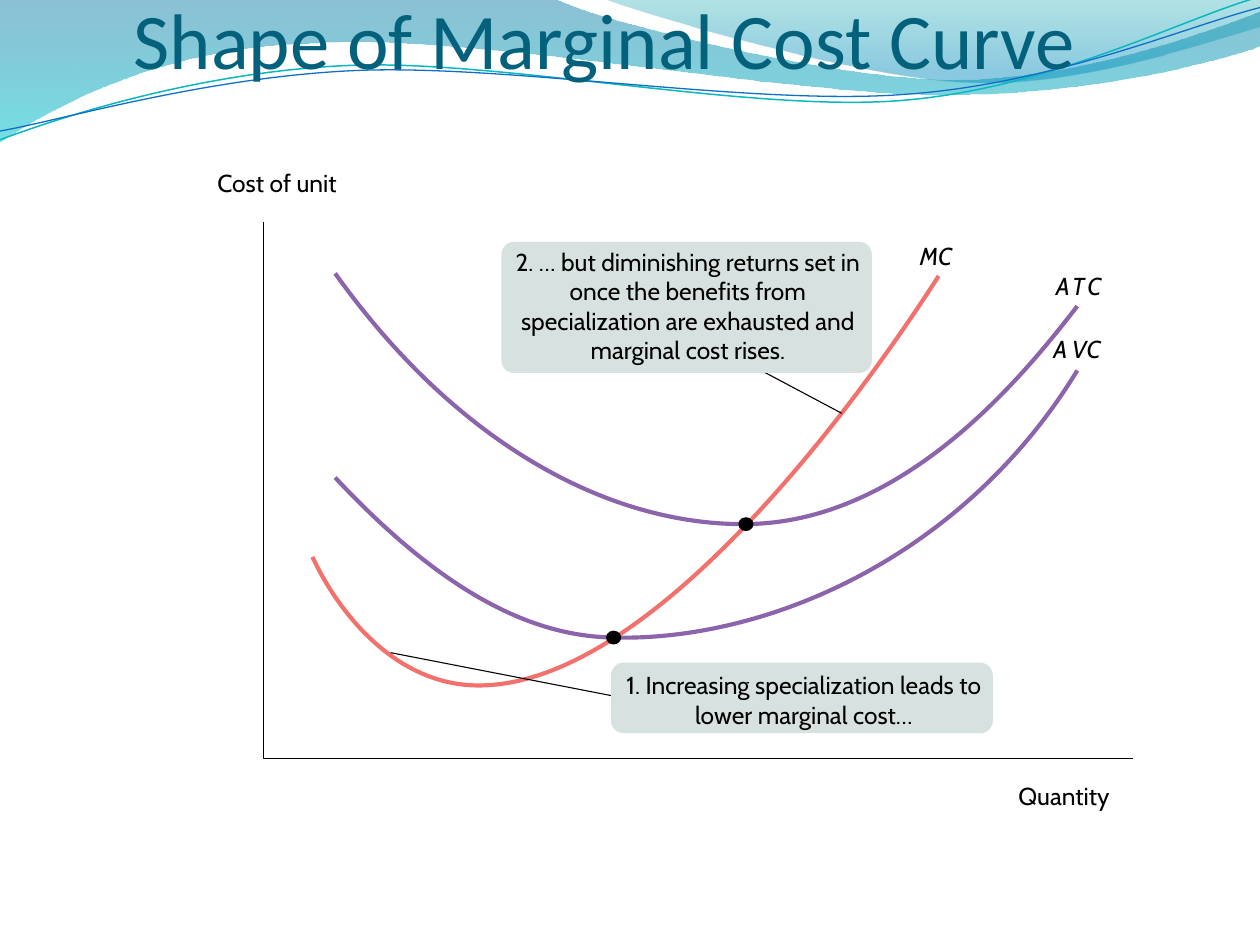
import dataclasses

import lxml.etree
import pptx
import pptx.dml.color
import pptx.enum.dml
import pptx.enum.shapes
import pptx.enum.text
import pptx.oxml.ns
import pptx.util

COLUMNS, ROWS = 100, 75
WIDTH, HEIGHT = pptx.util.Inches(10), pptx.util.Inches(7.5)
ALIGN = pptx.enum.text.PP_ALIGN
SHAPES = pptx.enum.shapes.MSO_SHAPE


@dataclasses.dataclass(frozen=True)
class Theme:
    title: str = "04617B"
    ink: str = "000000"
    marginal: str = "F3716D"
    average: str = "8C64AB"
    callout: str = "D7E2E0"
    wave_teal: str = "0AB8BF"
    wave_blue: str = "0F6FC6"
    left_band: tuple = ((0, "0074A1", 45), (1, "00C6CF", 55))
    right_band: tuple = ((0, "00A1A9", 30), (0.8, "008BBF", 45))
    title_font: str = "Calibri"
    label_font: str = "Cabin"
    title_size: float = 45
    label_size: float = 14
    curve_width: float = 2.38
    thin_width: float = 0.63


THEME = Theme()


def x(column):
    return round(WIDTH * column / COLUMNS)


def y(row):
    return round(HEIGHT * row / ROWS)


def box(left, top, width, height):
    return x(left), y(top), x(width), y(height)


def color(value):
    return pptx.dml.color.RGBColor.from_string(value)


def apply(target, values):
    for name, value in values.items():
        setattr(target, name, value)


def set_line(line, value, width):
    line.color.rgb = color(value)
    line.width = pptx.util.Pt(width)


def set_fill(shape, value):
    shape.shadow.inherit = False
    shape.fill.solid()
    shape.fill.fore_color.rgb = color(value)
    shape.line.fill.background()


def set_gradient(shape, stops):
    shape.fill.gradient()
    shape.fill.gradient_angle = 270
    for stop, (position, value, opacity) in zip(shape.fill.gradient_stops, stops):
        stop.position = position
        stop.color.rgb = color(value)
    for element, (position, value, opacity) in zip(shape._element.xpath(".//a:gs"), stops):
        alpha = lxml.etree.SubElement(element[0], pptx.oxml.ns.qn("a:alpha"))
        alpha.set("val", str(opacity * 1000))


def add_outline(slide, start, segments, closed=False):
    """Segments hold one point for a line and three for a Bezier curve."""
    points = [(x(column), y(row)) for segment in segments for column, row in segment]
    builder = slide.shapes.build_freeform(x(start[0]), y(start[1]))
    builder.add_line_segments(points, close=closed)
    shape = builder.convert_to_shape()
    shape.shadow.inherit = False
    shape.line.fill.background()
    shape.fill.background()
    steps = iter(shape._element.xpath(".//a:path/a:lnTo"))
    for segment in segments:
        first, *others = [next(steps) for point in segment]
        if others:
            first.tag = pptx.oxml.ns.qn("a:cubicBezTo")
            for step in others:
                first.append(step[0])
                step.getparent().remove(step)
    return shape


def add_stroke(slide, start, segments, value, width):
    set_line(add_outline(slide, start, segments).line, value, width)


def add_band(slide, start, segments, stops):
    set_gradient(add_outline(slide, start, segments, closed=True), stops)


def add_text(slide, text, place, frame_format=None, paragraph_format=None, font_format=None):
    frame = slide.shapes.add_textbox(*box(*place)).text_frame
    apply(frame, {
        "margin_left": 0, "margin_top": 0, "margin_right": 0, "margin_bottom": 0,
        "word_wrap": True,
        "auto_size": pptx.enum.text.MSO_AUTO_SIZE.SHAPE_TO_FIT_TEXT,
        **(frame_format or {}),
    })
    paragraph = frame.paragraphs[0]
    apply(paragraph, paragraph_format or {})
    run = paragraph.add_run()
    run.text = text
    values = {"name": THEME.label_font, "size": pptx.util.Pt(THEME.label_size)}
    apply(run.font, {**values, **(font_format or {})})
    run.font.color.rgb = color(THEME.ink)
    return run


def add_leader(slide, start, end):
    connector = slide.shapes.add_connector(
        pptx.enum.shapes.MSO_CONNECTOR.STRAIGHT, x(start[0]), y(start[1]), x(end[0]), y(end[1]))
    set_line(connector.line, THEME.ink, THEME.thin_width)
    lxml.etree.SubElement(connector._element.spPr, pptx.oxml.ns.qn("a:effectLst"))


def add_callout(slide, place):
    shape = slide.shapes.add_shape(SHAPES.ROUNDED_RECTANGLE, *box(*place))
    shape.adjustments[0] = 1 / place[3]
    set_fill(shape, THEME.callout)


def add_background(slide):
    add_band(slide, (0, 0), [
        [(44, -0.1)],
        [(47.6, 1.7), (66.4, 6.3), (75.8, 6.3)], [(85.3, 6.3), (95.8, 2.6), (100, 0.9)],
        [(100.1, 3.6)],
        [(98.3, 4.4), (87, 7.6), (74.6, 7.5)], [(62.2, 7.5), (38.2, 2.8), (25.7, 3.4)],
        [(12.9, 3.6), (4.6, 8.3), (-0.1, 11.3)],
    ], THEME.left_band)
    add_band(slide, (47.9, -0.1), [
        [(50.9, 1.1), (68.2, 6.2), (76.9, 6.5)], [(85.6, 6.9), (96.1, 3.2), (100, 2.1)],
        [(100, 0)],
    ], THEME.right_band)
    add_stroke(slide, (0, 11.1), [
        [(4.8, 9.3), (15.8, 5.7), (27.7, 5.2)], [(39.5, 4.7), (59.3, 8.9), (71.3, 8)],
        [(83.3, 7.1), (93.8, 1.5), (99.8, -0.2)],
    ], THEME.wave_teal, 0.85)
    add_stroke(slide, (0, 10.4), [
        [(4.7, 9.6), (16.4, 6.1), (28.3, 5.6)], [(40.3, 5.1), (59.7, 8.4), (71.7, 7.5)],
        [(83.6, 6.7), (94.1, 2.1), (100, 0.6)],
    ], THEME.wave_blue, 0.75)


def add_curves(slide):
    add_stroke(slide, (89.9, 60.2), [[(20.9, 60.2)], [(20.9, 17.6)]], THEME.ink, THEME.thin_width)
    curves = [
        (THEME.marginal, (24.8, 44.2), [
            [(26.6, 48.1), (31.1, 54.4), (38, 54.4)], [(52.9, 54.4), (70.6, 28), (74.5, 21.9)]]),
        (THEME.average, (26.6, 21.7), [
            [(36.3, 35.3), (48.4, 41.7), (59.2, 41.6)], [(71.7, 41.5), (81.1, 30), (85.5, 24.3)]]),
        (THEME.average, (26.6, 37.9), [
            [(35.4, 47.3), (42.4, 50.5), (48.7, 50.6)], [(60.8, 50.9), (76.4, 44.3), (85.5, 29.4)]]),
    ]
    for value, start, segments in curves:
        add_stroke(slide, start, segments, value, THEME.curve_width)
    for center_column, center_row in ((48.7, 50.6), (59.2, 41.6)):
        place = box(center_column - 0.6, center_row - 0.55, 1.2, 1.1)
        set_fill(slide.shapes.add_shape(SHAPES.OVAL, *place), THEME.ink)


def add_labels(slide):
    curve_labels = [("MC", 73, 19.1, 3.1), ("A", 83.8, 21.5, 1.3), ("T", 85.1, 21.5, 1.2),
                    ("C", 86.3, 21.5, 1.4), ("A", 83.6, 26.5, 1.3), ("VC", 85.1, 26.5, 2.7)]
    for text, left, top, width in curve_labels:
        add_text(slide, text, (left, top, width, 2.4), {"word_wrap": False},
                 font_format={"italic": True})
    centered = {"alignment": ALIGN.CENTER}
    add_text(slide, "Cost of unit", (13.3, 13.3, 17.4, 2.4), None, centered)
    add_text(slide, "Quantity", (80.8, 62, 7.3, 2.4), {"word_wrap": False}, centered)
    add_text(slide, "2. … but diminishing returns set in once the benefits from "
             "specialization are exhausted and marginal cost rises.",
             (40.5, 19.6, 28.2, 9.4), None, centered)
    add_text(slide, "1. Increasing specialization leads to lower marginal cost…",
             (49.7, 53.2, 28.2, 4.7), None, centered)


def main():
    presentation = pptx.Presentation()
    apply(presentation, {"slide_width": WIDTH, "slide_height": HEIGHT})
    slide = presentation.slides.add_slide(presentation.slide_layouts[6])
    add_background(slide)
    title = add_text(slide, "Shape of Marginal Cost Curve", (10.6, 0.7, 86.6, 6.1), {
        "margin_top": y(0.5),
        "vertical_anchor": pptx.enum.text.MSO_ANCHOR.BOTTOM,
        "auto_size": pptx.enum.text.MSO_AUTO_SIZE.NONE,
    }, None, {"name": THEME.title_font, "size": pptx.util.Pt(THEME.title_size)})
    title.font.color.rgb = color(THEME.title)
    add_curves(slide)
    add_leader(slide, (49.5, 55.4), (31, 51.8))
    add_leader(slide, (66.8, 32.8), (57.2, 27.7))
    add_callout(slide, (39.8, 19.2, 29.4, 10.4))
    add_callout(slide, (48.5, 52.6, 30.3, 5.6))
    add_labels(slide)
    presentation.save("out.pptx")


main()
